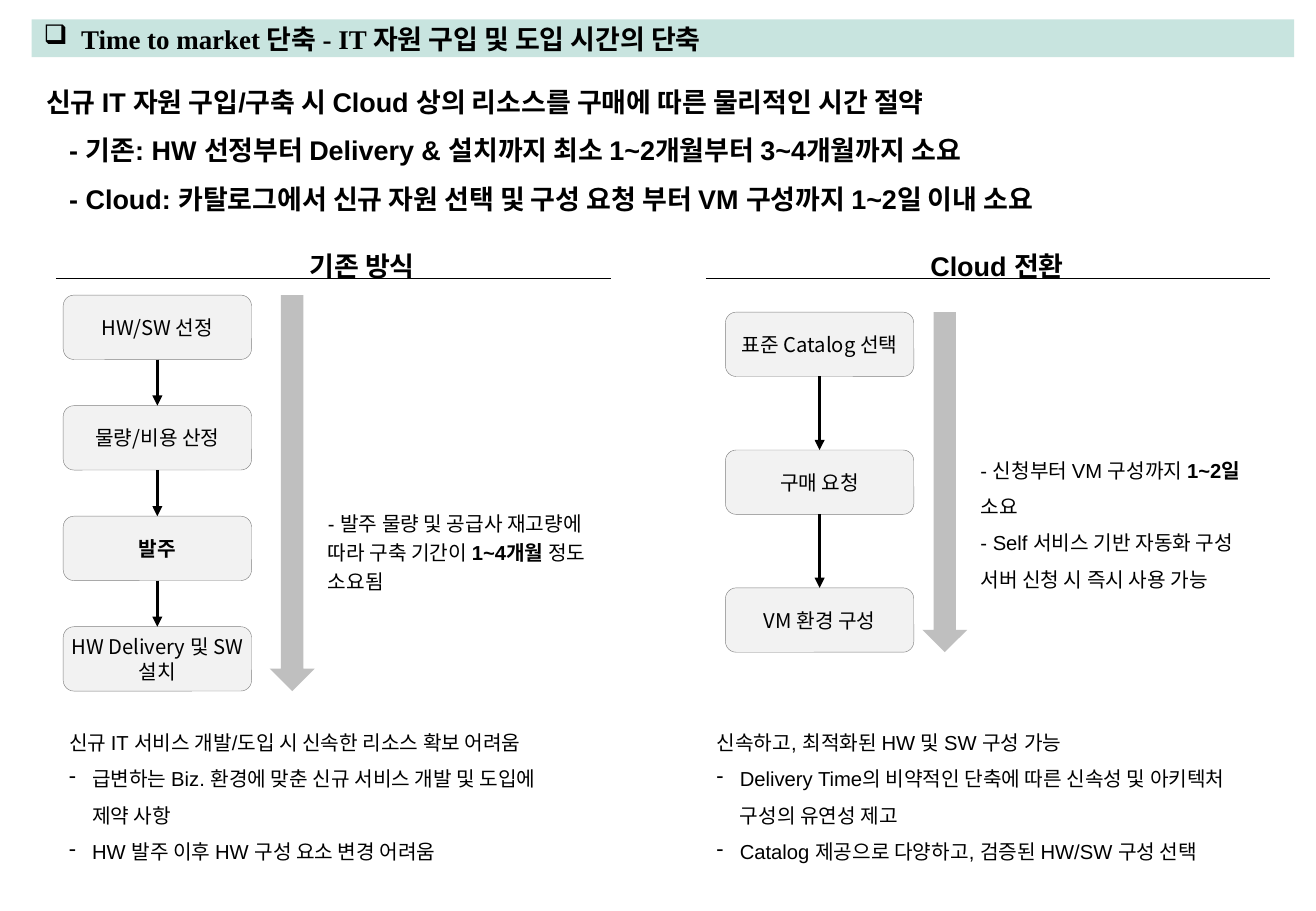
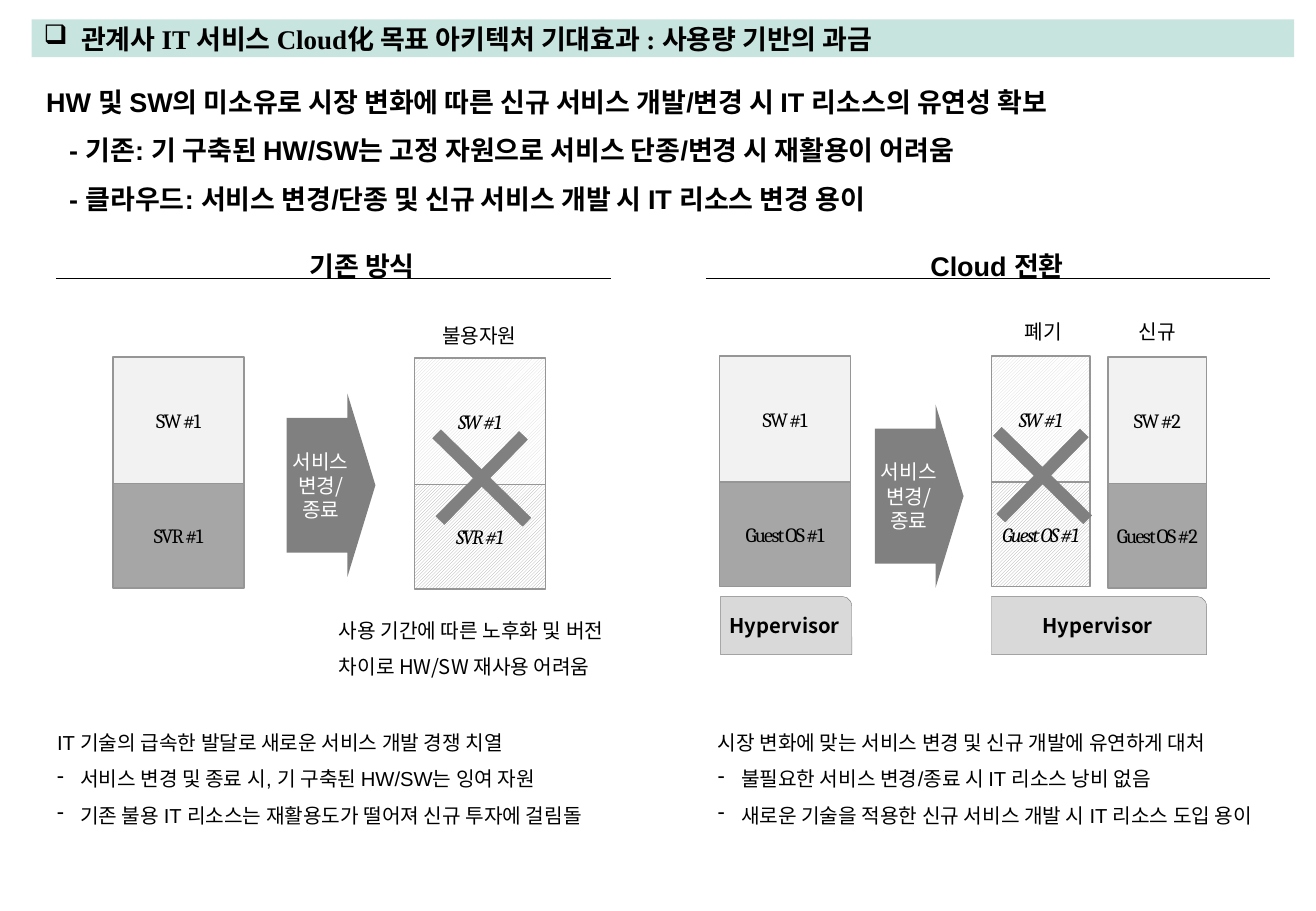
import pptx
import pptx.util
import pptx.dml.color
import pptx.enum.shapes
import pptx.enum.text
import pptx.enum.dml
import pptx.oxml.ns
import lxml.etree

Inches = pptx.util.Inches
Pt = pptx.util.Pt
KIND = pptx.enum.shapes.MSO_SHAPE
ALIGN = pptx.enum.text.PP_ALIGN
ANCHOR = pptx.enum.text.MSO_ANCHOR
SANS, SERIF, BODY, TITLE = "Noto Sans CJK KR", "Cambria", "Arial", "Times New Roman"
BLACK, WHITE, MINT, PALE = "000000", "FFFFFF", "C8E4DF", "F2F2F2"
LIGHT, SILVER, MID, EDGE, DARK = "D9D9D9", "BFBFBF", "A6A6A6", "969696", "808080"


def rgb(code):
    """Turn a hex string into a colour."""
    return pptx.dml.color.RGBColor.from_string(code)


def node(parent, tag, **attrs):
    """Add a drawing element with attributes."""
    return lxml.etree.SubElement(parent, pptx.oxml.ns.qn(tag), **attrs)


def write(shape, paras, size=12, font=SANS, color=BLACK, bold=False, italic=False,
          center=False, middle=False, pad=0.1, wrap=True, lead=1.0, before=0,
          mark=None, hang=0.19, first=0, shift=0, tight=False):
    """Fill a shape with paragraphs, each a string or a list of (text, bold) runs."""
    frame = shape.text_frame
    frame.word_wrap = wrap
    frame.margin_left = frame.margin_right = Inches(pad)
    frame.margin_top = frame.margin_bottom = Inches(0.05)
    frame.vertical_anchor = ANCHOR.MIDDLE if middle else ANCHOR.TOP
    for i, para in enumerate(paras):
        p = frame.add_paragraph() if i else frame.paragraphs[0]
        p.alignment = ALIGN.CENTER if center else ALIGN.LEFT
        p.line_spacing = lead
        p.space_before = Pt(before)
        props = p._p.get_or_add_pPr()
        if mark and i >= first:
            props.set("marL", str(Inches(hang)))
            props.set("indent", str(-Inches(hang)))
            node(props, "a:buChar", char=mark)
        elif shift and i:
            props.set("marL", str(Inches(shift)))
        for words, strong in [(para, bold)] if isinstance(para, str) else para:
            for j, part in enumerate(words.split("\n")):
                if j:
                    p.add_line_break()
                run = p.add_run()
                run.text = part
                run.font.size = Pt(size)
                run.font.name = font
                run.font.bold = strong
                run.font.italic = italic
                run.font.color.rgb = rgb(color)
                node(run._r.get_or_add_rPr(), "a:ea", typeface=SANS)
                if tight:
                    run._r.get_or_add_rPr().set("spc", "-100")


def label(slide, x, y, w, h, paras, **style):
    """Place a text box."""
    box = slide.shapes.add_textbox(Inches(x), Inches(y), Inches(w), Inches(h))
    write(box, paras, **style)
    return box


def block(slide, kind, x, y, w, h, fill, line=None, width=0.25, hatch=False):
    """Place a preset shape with a plain or hatched fill."""
    shape = slide.shapes.add_shape(kind, Inches(x), Inches(y), Inches(w), Inches(h))
    shape.shadow.inherit = False
    if hatch:
        shape.fill.patterned()
        shape.fill.pattern = pptx.enum.dml.MSO_PATTERN.DARK_UPWARD_DIAGONAL
        shape.fill.fore_color.rgb = rgb(fill)
        shape.fill.back_color.rgb = rgb(WHITE)
    else:
        shape.fill.solid()
        shape.fill.fore_color.rgb = rgb(fill)
    if line:
        shape.line.color.rgb = rgb(line)
        shape.line.width = Pt(width)
    else:
        shape.line.fill.background()
    return shape


def rule(slide, x, y, right, low, width=0.75, arrow=False):
    """Draw a straight black line, with an arrowhead if asked."""
    line = slide.shapes.add_connector(
        pptx.enum.shapes.MSO_CONNECTOR.STRAIGHT,
        Inches(x), Inches(y), Inches(right), Inches(low))
    line.line.color.rgb = rgb(BLACK)
    line.line.width = Pt(width)
    if arrow:
        node(line.line._get_or_add_ln(), "a:tailEnd", type="triangle")
    node(line._element.spPr, "a:effectLst")


def frame(deck, title, lead):
    """Add a slide with its title band, lead text and two column heads."""
    slide = deck.slides.add_slide(deck.slide_layouts[6])
    band = block(slide, KIND.RECTANGLE, 0.26, 0.16, 10.39, 0.31, MINT)
    write(band, [title], size=16, font=TITLE, bold=True, middle=True, mark="❑", hang=0.31)
    box = label(slide, 0.38, 0.57, 10.16, 1.21, lead, size=16, font=BODY, bold=True,
                pad=0, lead=1.5, shift=0.19)
    box.text_frame.margin_top = box.text_frame.margin_bottom = 0
    heads = [("기존 방식", 0.46, 5.04, 0.46, 5.03), ("Cloud 전환", 5.96, 4.49, 5.81, 10.45)]
    for text, x, w, start, end in heads:
        label(slide, x, 1.86, w, 0.55, [text], size=16, font=BODY, bold=True,
              center=True, middle=True, pad=0, lead=1.4, before=6)
        rule(slide, start, 2.29, end, 2.29)
    return slide


def notes(slide, x, paras, pad=0.1):
    """Write a column's closing text: a line and its dashed points."""
    label(slide, x, 5.86, 4.8, 1.31, paras, font=BODY, lead=1.5, mark="-", first=1, pad=pad)


def flow(slide, x, y, h, steps, gap, strong=None):
    """Stack linked steps evenly in a height, with a long arrow beside them."""
    w, tall = 1.55, 0.53
    pitch = (h - tall) / (len(steps) - 1)
    for i, text in enumerate(steps):
        top = y + i * pitch
        box = block(slide, KIND.ROUNDED_RECTANGLE, x, top, w, tall, PALE, DARK)
        write(box, [text], bold=text == strong, center=True, middle=True, pad=0)
        if i:
            rule(slide, x + w / 2, top - pitch + tall, x + w / 2, top, 2, True)
    block(slide, KIND.DOWN_ARROW, x + w + gap, y, 0.37, h, SILVER)


def stack(slide, x, y, w, names, dead=False):
    """Put software on its host; a dead pair is hatched and crossed out."""
    rows = [(names[0], 0, 1.04, LIGHT if dead else PALE), (names[1], 1.04, 0.86, MID)]
    for text, down, h, fill in rows:
        box = block(slide, KIND.RECTANGLE, x, y + down, w, h, fill, EDGE, 1, dead)
        write(box, [text], font=SERIF, italic=dead, center=True, middle=True,
              wrap=False, tight=True)
    if dead:
        cross = block(slide, KIND.MATH_PLUS, x + w / 2 - 0.65, y + 0.28, 1.33, 1.41, DARK, DARK)
        cross.adjustments[0] = 0.073
        cross.rotation = 314.4


def change(slide, x, y):
    """Draw the arrow for a service change."""
    arrow = block(slide, KIND.RIGHT_ARROW, x, y, 0.73, 1.51, DARK)
    arrow.adjustments[0] = 0.736
    arrow.adjustments[1] = 0.316
    write(arrow, ["서비스 변경/", "종료"], color=WHITE, center=True, middle=True, pad=0)


def base(slide, x, y, w):
    """Draw a hypervisor bar."""
    bar = block(slide, KIND.ROUND_1_RECTANGLE, x, y, w, 0.48, LIGHT, DARK)
    write(bar, ["Hypervisor"], bold=True, center=True, middle=True, pad=0)


def market(deck):
    """Build the slide on time to market."""
    slide = frame(deck, "Time to market 단축 - IT 자원 구입 및 도입 시간의 단축", [
        "신규 IT 자원 구입/구축 시 Cloud 상의 리소스를 구매에 따른 물리적인 시간 절약",
        "- 기존: HW 선정부터 Delivery & 설치까지 최소 1~2개월부터 3~4개월까지 소요",
        "- Cloud: 카탈로그에서 신규 자원 선택 및 구성 요청 부터 VM 구성까지 1~2일 이내 소요"])
    flow(slide, 0.52, 2.43, 3.26,
         ["HW/SW 선정", "물량/비용 산정", "발주", "HW Delivery 및 SW 설치"], 0.15, "발주")
    label(slide, 2.6, 4.12, 2.59, 0.83, [[
        ("- 발주 물량 및 공급사 재고량에 따라 구축 기간이 ", False),
        ("1~4개월 ", True), ("정도 소요됨", False)]], font=BODY, lead=1.2)
    flow(slide, 5.97, 2.57, 2.8, ["표준 Catalog 선택", "구매 요청", "VM 환경 구성"], 0.07)
    label(slide, 7.97, 3.62, 2.59, 1.31, [
        [("- 신청부터 VM 구성까지 ", False), ("1~2일", True), (" 소요", False)],
        "- Self 서비스 기반 자동화 구성 서버 신청 시 즉시 사용 가능"], font=BODY, lead=1.5)
    notes(slide, 0.47, [
        "신규 IT 서비스 개발/도입 시 신속한 리소스 확보 어려움",
        "급변하는 Biz. 환경에 맞춘 신규 서비스 개발 및 도입에 \n제약 사항",
        "HW 발주 이후 HW 구성 요소 변경 어려움"])
    notes(slide, 5.8, [
        "신속하고, 최적화된 HW 및 SW 구성 가능",
        "Delivery Time의 비약적인 단축에 따른 신속성 및 아키텍처 구성의 유연성 제고",
        "Catalog 제공으로 다양하고, 검증된 HW/SW 구성 선택"])


def usage(deck):
    """Build the slide on usage-based charging."""
    slide = frame(deck, "관계사 IT 서비스 Cloud化 목표 아키텍처 기대효과 : 사용량 기반의 과금", [
        "HW 및 SW의 미소유로 시장 변화에 따른 신규 서비스 개발/변경 시 IT 리소스의 유연성 확보",
        "- 기존: 기 구축된 HW/SW는 고정 자원으로 서비스 단종/변경 시 재활용이 어려움",
        "- 클라우드: 서비스 변경/단종 및 신규 서비스 개발 시 IT 리소스 변경 용이"])
    server, guest = ["SW #1", "SVR #1"], ["SW #1", "Guest OS #1"]
    stack(slide, 0.93, 2.94, 1.08, server)
    change(slide, 2.36, 3.24)
    stack(slide, 3.41, 2.95, 1.08, server, True)
    stack(slide, 5.92, 2.93, 1.08, guest)
    change(slide, 7.2, 3.33)
    stack(slide, 9.12, 2.94, 0.81, ["SW #2", "Guest OS #2"])
    stack(slide, 8.16, 2.93, 0.81, guest, True)
    base(slide, 5.93, 4.91, 1.08)
    base(slide, 8.16, 4.91, 1.77)
    for text, x, y, w in [("불용자원", 3.41, 2.61, 1.07), ("폐기", 8.28, 2.58, 0.61),
                          ("신규", 9.22, 2.58, 0.61)]:
        label(slide, x, y, w, 0.3, [text], center=True)
    label(slide, 2.69, 4.94, 2.76, 0.71,
          ["사용 기간에 따른 노후화 및 버전 차이로 HW/SW 재사용 어려움"], lead=1.5)
    notes(slide, 0.47, [
        "IT 기술의 급속한 발달로 새로운 서비스 개발 경쟁 치열",
        "서비스 변경 및 종료 시, 기 구축된 HW/SW는 잉여 자원",
        "기존 불용 IT 리소스는 재활용도가 떨어져 신규 투자에 걸림돌"], 0)
    notes(slide, 5.81, [
        "시장 변화에 맞는 서비스 변경 및 신규 개발에 유연하게 대처",
        "불필요한 서비스 변경/종료 시 IT 리소스 낭비 없음",
        "새로운 기술을 적용한 신규 서비스 개발 시 IT 리소스 도입 용이"])


def main():
    """Build and save the deck."""
    deck = pptx.Presentation()
    deck.slide_width, deck.slide_height = Inches(10.83), Inches(7.5)
    market(deck)
    usage(deck)
    deck.save("out.pptx")


if __name__ == "__main__":
    main()
